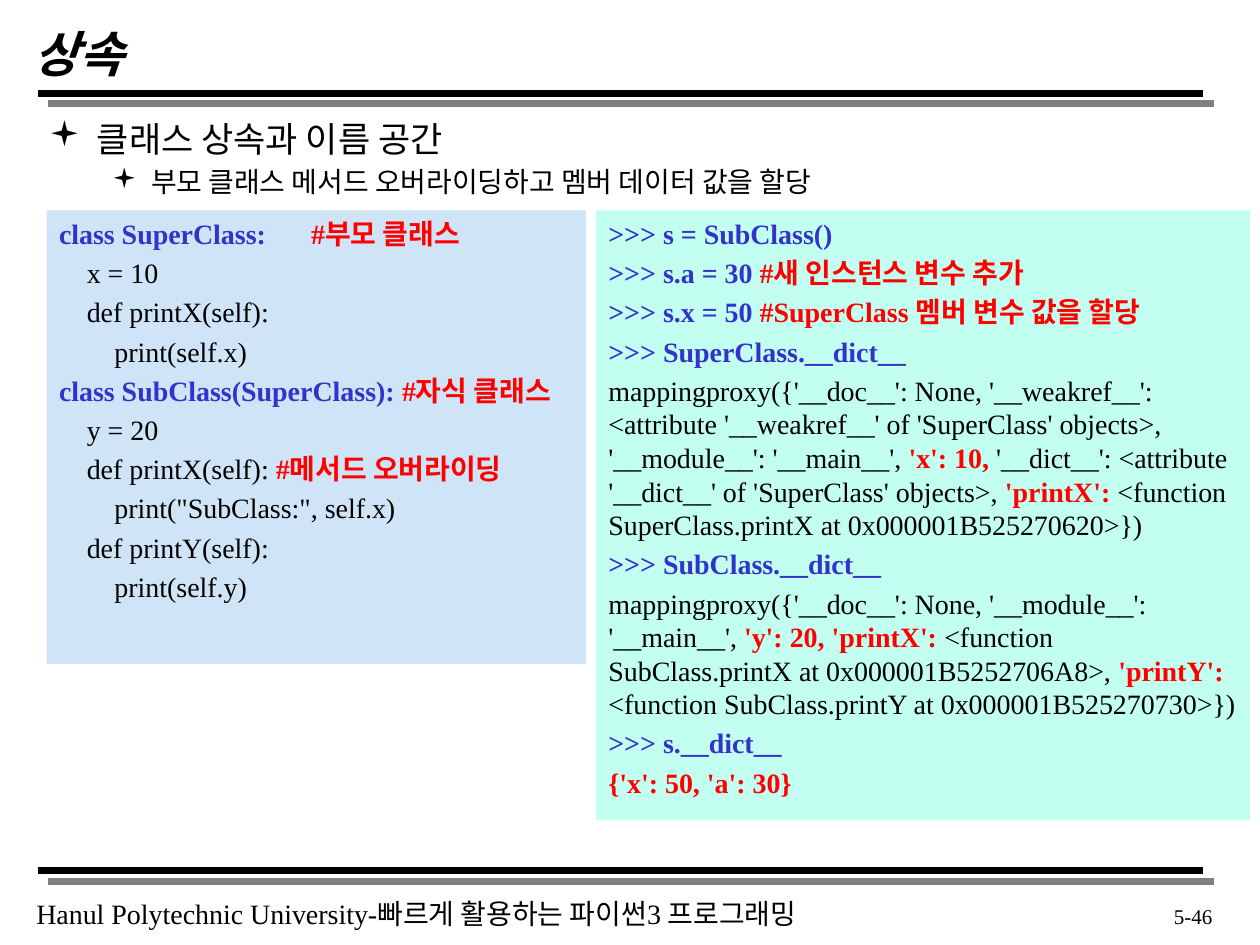
from pptx import Presentation
from pptx.util import Inches, Pt
from pptx.dml.color import RGBColor as RGB
from pptx.enum.shapes import MSO_SHAPE as Shape, MSO_CONNECTOR as Conn
from pptx.enum.text import PP_ALIGN as Align, MSO_ANCHOR as Anchor
from pptx.oxml import parse_xml
from pptx.oxml.ns import qn
from lxml.etree import SubElement as Sub

FONT = "Times New Roman"
BLACK, BLUE, RED, GRAY = "000000", "3333CC", "FF0000", "808080"
STEP = 0.22
NS = 'xmlns:a="http://schemas.openxmlformats.org/drawingml/2006/main"'

TITLE = "상속"
FOOT = "Hanul Polytechnic University-빠르게 활용하는 파이썬3 프로그래밍"
PAGE = "5-46"
POINTS = [
    ("클래스 상속과 이름 공간", 20, 0.38, 0.38),
    ("부모 클래스 메서드 오버라이딩하고 멤버 데이터 값을 할당", 16, 0.81, 0.31),
]
CODE = [
    (0, [("class SuperClass:\t", BLUE), ("#부모 클래스", RED)]),
    (1, [("x = 10", BLACK)]),
    (1, [("def printX(self):", BLACK)]),
    (2, [("print(self.x)", BLACK)]),
    (0, [("class SubClass(SuperClass): ", BLUE), ("#자식 클래스", RED)]),
    (1, [("y = 20", BLACK)]),
    (1, [("def printX(self):\t", BLACK), ("#메서드 오버라이딩", RED)]),
    (2, [('print("SubClass:", self.x)', BLACK)]),
    (1, [("def printY(self):", BLACK)]),
    (2, [("print(self.y)", BLACK)]),
]
SHELL = [
    (0, [(">>> s = SubClass()", BLUE)]),
    (0, [(">>> s.a = 30 ", BLUE), ("#새 인스턴스 변수 추가", RED)]),
    (0, [(">>> s.x = 50 ", BLUE), ("#SuperClass 멤버 변수 값을 할당", RED)]),
    (0, [(">>> SuperClass.__dict__", BLUE)]),
    (0, [("mappingproxy({'__doc__': None, '__weakref__': <attribute '__weakref__' "
          "of 'SuperClass' objects>, '__module__': '__main__', ", BLACK),
         ("'x': 10, ", RED),
         ("'__dict__': <attribute '__dict__' of 'SuperClass' objects>, ", BLACK),
         ("'printX': ", RED),
         ("<function SuperClass.printX at 0x000001B525270620>})", BLACK)]),
    (0, [(">>> SubClass.__dict__", BLUE)]),
    (0, [("mappingproxy({'__doc__': None, '__module__': '__main__', ", BLACK),
         ("'y': 20, 'printX': ", RED),
         ("<function SubClass.printX at 0x000001B5252706A8>, ", BLACK),
         ("'printY': ", RED),
         ("<function SubClass.printY at 0x000001B525270730>})", BLACK)]),
    (0, [(">>> s.__dict__", BLUE)]),
    (0, [("{'x': 50, 'a': 30}", RED)]),
]
PANELS = [
    (CODE, (0.37, 1.67, 4.28, 3.6), "CFE4F6"),
    (SHELL, (4.73, 1.67, 5.19, 4.84), "C2FFF0"),
]
RULES = [0.74, 6.91]

deck = Presentation()
deck.slide_width, deck.slide_height = Inches(10), Inches(7.5)
slide = deck.slides.add_slide(deck.slide_layouts[6])


def tint(code):
    return RGB.from_string(code)


def write(par, text, size=16, color=BLACK, bold=False, italic=False):
    run = par.add_run()
    run.text = text
    font = run.font
    font.name, font.size = FONT, Pt(size)
    font.bold, font.italic = bold, italic
    font.color.rgb = tint(color)


def frame(box, wrap=True, anchor=Anchor.TOP):
    body = box.text_frame
    body.word_wrap, body.vertical_anchor = wrap, anchor
    return body


def label(text, spot, wrap=True, align=Align.LEFT, **style):
    box = slide.shapes.add_textbox(*map(Inches, spot))
    par = frame(box, wrap, Anchor.MIDDLE).paragraphs[0]
    par.alignment = align
    write(par, text, **style)


def start(body, num, size, left=0, hang=0):
    par = body.add_paragraph() if num else body.paragraphs[0]
    par.alignment = Align.LEFT
    par.space_before = Pt(size * 0.2)
    props = par._p.get_or_add_pPr()
    props.set("marL", str(Inches(left)))
    props.set("indent", str(Inches(-hang)))
    return par, props


def rule(y):
    line = slide.shapes.add_connector(
        Conn.STRAIGHT, Inches(0.3), Inches(y), Inches(9.55), Inches(y))
    line.line.color.rgb = tint(BLACK)
    line.line.width = Pt(4)
    line._element.spPr.append(parse_xml(
        f'<a:effectLst {NS}><a:outerShdw dist="{Pt(8.5)}" dir="2700000" '
        f'algn="ctr" rotWithShape="0"><a:srgbClr val="{GRAY}"/>'
        '</a:outerShdw></a:effectLst>'))


def panel(rows, spot, fill):
    box = slide.shapes.add_shape(Shape.RECTANGLE, *map(Inches, spot))
    box.shadow.inherit = False
    box.fill.solid()
    box.fill.fore_color.rgb = tint(fill)
    box.line.fill.background()
    body = frame(box)
    for num, (depth, runs) in enumerate(rows):
        par, props = start(body, num, 16, depth * STEP)
        if runs[0][0].endswith("\t"):
            stop = 1.83 if depth else 2
            tabs = Sub(props, qn("a:tabLst"))
            Sub(tabs, qn("a:tab"), pos=str(Inches(stop)), algn="l")
        for text, color in runs:
            write(par, text, color=color, bold=color != BLACK)


for y in RULES:
    rule(y)
label(FOOT, (0.19, 7.06, 6.6, 0.37), wrap=False)
label(TITLE, (0.17, 0.17, 8.5, 0.5), size=28, bold=True, italic=True)

body = frame(slide.shapes.add_textbox(*map(Inches, (0.29, 0.88, 9.38, 5.63))))
for num, (text, size, left, hang) in enumerate(POINTS):
    par, props = start(body, num, size, left, hang)
    Sub(props, qn("a:buFont"), typeface="Wingdings")
    Sub(props, qn("a:buChar"), char="▪")
    write(par, text, size=size)

label(PAGE, (8.89, 7.11, 0.83, 0.32), align=Align.RIGHT, size=12)
for rows, spot, fill in PANELS:
    panel(rows, spot, fill)

deck.save("out.pptx")
